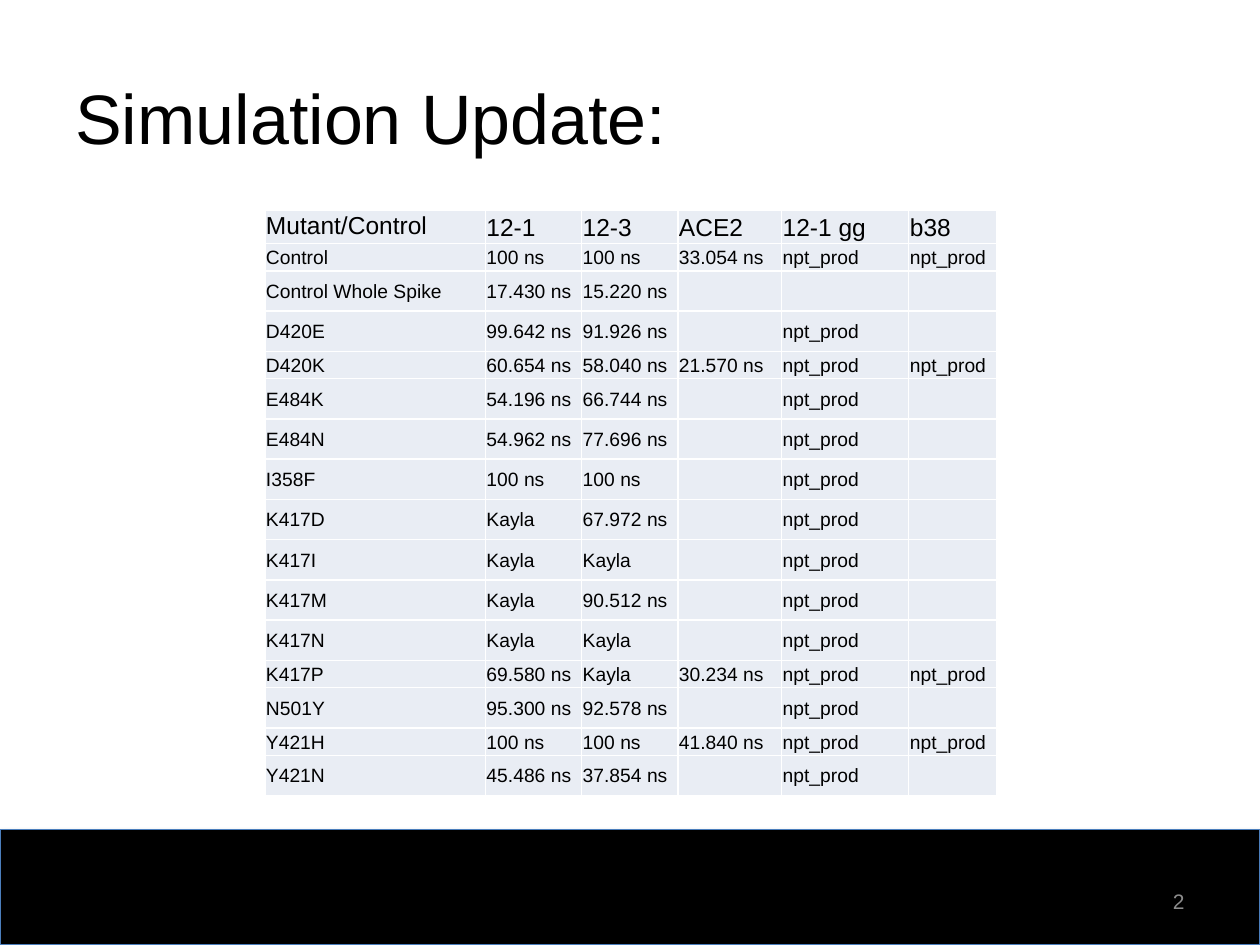
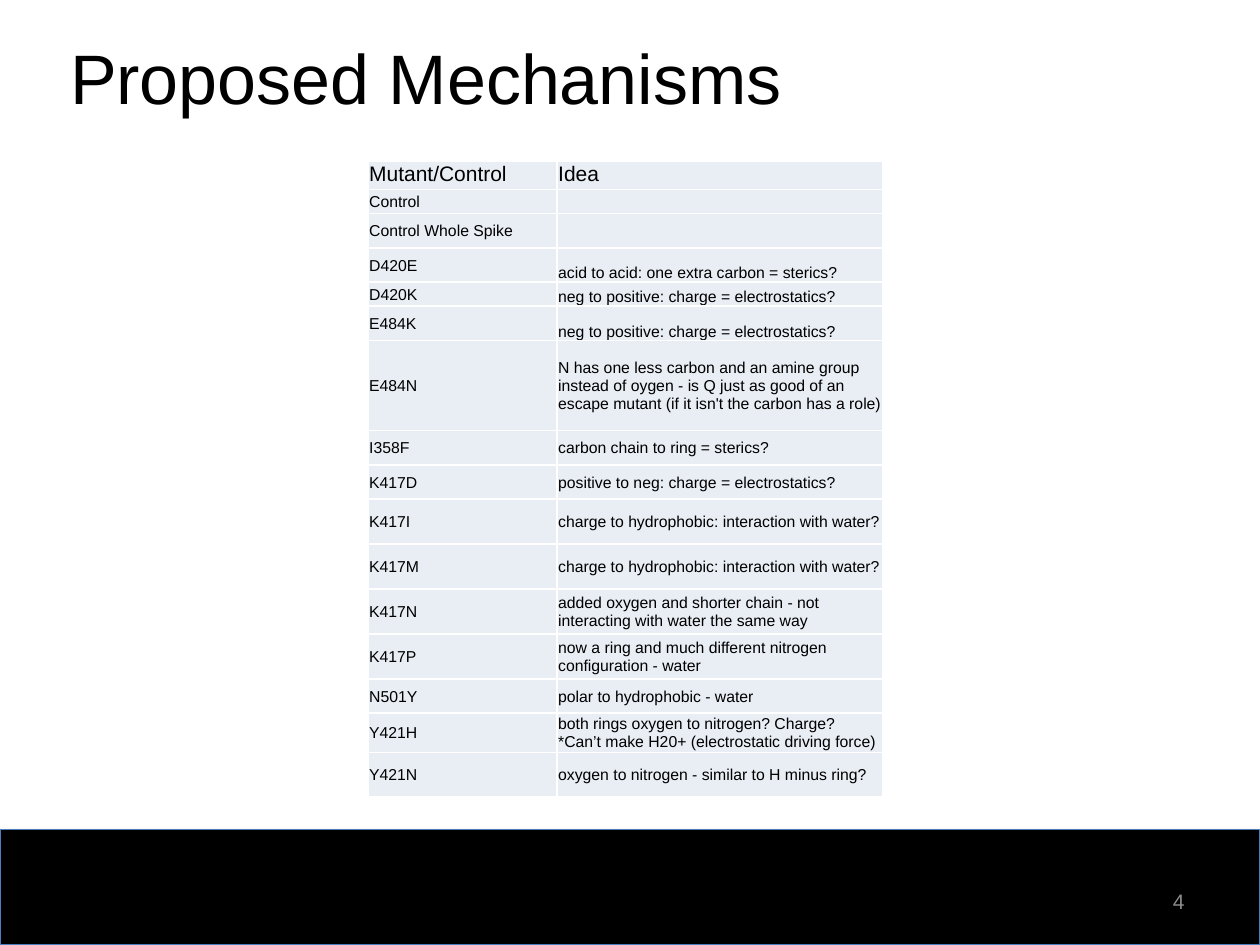
from dataclasses import dataclass

import pptx
import pptx.dml.color
import pptx.enum.shapes
import pptx.enum.text
import pptx.oxml
import pptx.oxml.ns
import pptx.presentation
import pptx.slide
import pptx.table
import pptx.util

Pt = pptx.util.Pt
RGB = pptx.dml.color.RGBColor.from_string
Anchor = pptx.enum.text.MSO_ANCHOR
Align = pptx.enum.text.PP_ALIGN
NS = pptx.oxml.ns.nsdecls("a")


@dataclass(frozen=True)
class Theme:
    font: str = "Arial"
    ink: str = "000000"
    muted: str = "8C8C8C"
    band: str = "000000"
    band_line: str = "4B7EBC"
    cell: str = "E9EDF4"
    border: str = "FFFFFF"
    title_size: float = 40
    number_size: float = 12


@dataclass(frozen=True)
class Box:
    left: float
    top: float
    width: float
    height: float


@dataclass(frozen=True)
class Row:
    cells: tuple[str, ...]
    height: float
    anchor: Anchor = Anchor.MIDDLE


@dataclass(frozen=True)
class Grid:
    left: float
    top: float
    widths: tuple[float, ...]
    rows: list[Row]
    header_size: float
    body_size: float


@dataclass(frozen=True)
class Page:
    title: str
    title_box: Box
    number: str
    grid: Grid


THEME = Theme()
SLIDE = Box(0, 0, 720, 540)
BAND = Box(0, 474, 720, 66)
NUMBER = Box(516, 500.5, 168, 28.75)
CELL_MARGIN = 0.7

MUTANTS = (
    "Control", "Control Whole Spike", "D420E", "D420K", "E484K", "E484N", "I358F", "K417D",
    "K417I", "K417M", "K417N", "K417P", "N501Y", "Y421H", "Y421N",
)
NPT = "npt_prod"

SIMULATION_HEADER = Row(("Mutant/Control", "12-1", "12-3", "ACE2", "12-1 gg", "b38"), 18.7)
SIMULATION_TIMES = (
    ("100 ns", "100 ns", "33.054 ns", NPT, NPT),
    ("17.430 ns", "15.220 ns", "", "", ""),
    ("99.642 ns", "91.926 ns", "", NPT, ""),
    ("60.654 ns", "58.040 ns", "21.570 ns", NPT, NPT),
    ("54.196 ns", "66.744 ns", "", NPT, ""),
    ("54.962 ns", "77.696 ns", "", NPT, ""),
    ("100 ns", "100 ns", "", NPT, ""),
    ("Kayla", "67.972 ns", "", NPT, ""),
    ("Kayla", "Kayla", "", NPT, ""),
    ("Kayla", "90.512 ns", "", NPT, ""),
    ("Kayla", "Kayla", "", NPT, ""),
    ("69.580 ns", "Kayla", "30.234 ns", NPT, NPT),
    ("95.300 ns", "92.578 ns", "", NPT, ""),
    ("100 ns", "100 ns", "41.840 ns", NPT, NPT),
    ("45.486 ns", "37.854 ns", "", NPT, ""),
)
FULL_ROW, PARTIAL_ROW = 15.7, 23

IDEA_HEADER = Row(("Mutant/Control", "Idea"), 16.4, Anchor.TOP)
SHORT, MEDIUM, TALL = 13.7, 19.6, 25.7
IDEAS = (
    ("", SHORT, Anchor.MIDDLE),
    ("", MEDIUM, Anchor.MIDDLE),
    ("acid to acid: one extra carbon = sterics?", MEDIUM, Anchor.BOTTOM),
    ("neg to positive: charge = electrostatics?", SHORT, Anchor.BOTTOM),
    ("neg to positive: charge = electrostatics?", MEDIUM, Anchor.BOTTOM),
    ("N has one less carbon and an amine group instead of oygen - is Q just as good of an "
     "escape mutant (if it isn't the carbon has a role)", 51.5, Anchor.MIDDLE),
    ("carbon chain to ring = sterics?", MEDIUM, Anchor.MIDDLE),
    ("positive to neg: charge = electrostatics?", MEDIUM, Anchor.MIDDLE),
    ("charge to hydrophobic: interaction with water?", TALL, Anchor.MIDDLE),
    ("charge to hydrophobic: interaction with water?", TALL, Anchor.MIDDLE),
    ("added oxygen and shorter chain - not interacting with water the same way",
     TALL, Anchor.MIDDLE),
    ("now a ring and much different nitrogen configuration - water", TALL, Anchor.MIDDLE),
    ("polar to hydrophobic - water", MEDIUM, Anchor.MIDDLE),
    ("both rings oxygen to nitrogen? Charge?\v*Can’t make H20+ (electrostatic driving force)",
     21, Anchor.MIDDLE),
    ("oxygen to nitrogen - similar to H minus ring?", TALL, Anchor.MIDDLE),
)

SIMULATION_ROWS = [SIMULATION_HEADER] + [
    Row((mutant, *times), FULL_ROW if all(times) else PARTIAL_ROW)
    for mutant, times in zip(MUTANTS, SIMULATION_TIMES)
]
IDEA_ROWS = [IDEA_HEADER] + [
    Row((mutant, idea), height, anchor)
    for mutant, (idea, height, anchor) in zip(MUTANTS, IDEAS)
]

PAGES = (
    Page("Simulation Update:", Box(36, 21.6, 648, 90), "2",
         Grid(151.3, 120.4, (126, 55, 55, 59.3, 72.7, 50.2), SIMULATION_ROWS, 14, 11)),
    Page("Proposed Mechanisms", Box(33, 11, 648, 66), "4",
         Grid(210.3, 92, (108, 186.4), IDEA_ROWS, 12, 9)),
)


def place(box: Box) -> tuple[int, ...]:
    return Pt(box.left), Pt(box.top), Pt(box.width), Pt(box.height)


def style(p, size: float, color: str) -> None:
    p.font.name = THEME.font
    p.font.size = Pt(size)
    p.font.color.rgb = RGB(color)


def add_text(slide: pptx.slide.Slide, box: Box, text: str, size: float, color: str,
             align: Align = Align.LEFT) -> None:
    tf = slide.shapes.add_textbox(*place(box)).text_frame
    tf.word_wrap = True
    tf.vertical_anchor = Anchor.MIDDLE
    p = tf.paragraphs[0]
    p.text = text
    p.alignment = align
    style(p, size, color)


def add_band(slide: pptx.slide.Slide) -> None:
    sp = slide.shapes.add_shape(pptx.enum.shapes.MSO_SHAPE.RECTANGLE, *place(BAND))
    sp.fill.solid()
    sp.fill.fore_color.rgb = RGB(THEME.band)
    sp.line.color.rgb = RGB(THEME.band_line)
    sp.line.width = Pt(0.75)
    sp.shadow.inherit = False
    effects = sp.element.spPr.find(pptx.oxml.ns.qn("a:effectLst"))
    effects.append(pptx.oxml.parse_xml(
        f'<a:outerShdw {NS} blurRad="{Pt(3.1)}" dist="{Pt(1.8)}" dir="5400000" rotWithShape="0">'
        f'<a:srgbClr val="{THEME.band}"><a:alpha val="35000"/></a:srgbClr></a:outerShdw>'))


def fill_cell(cell: pptx.table._Cell, text: str, size: float, anchor: Anchor) -> None:
    cell.margin_left = cell.margin_right = cell.margin_top = Pt(CELL_MARGIN)
    cell.margin_bottom = 0
    cell.vertical_anchor = anchor
    properties = cell._tc.get_or_add_tcPr()
    for side in "LRTB":
        properties.append(pptx.oxml.parse_xml(
            f'<a:ln{side} {NS} w="{Pt(1)}"><a:solidFill><a:srgbClr val="{THEME.border}"/>'
            f'</a:solidFill></a:ln{side}>'))
    cell.fill.solid()
    cell.fill.fore_color.rgb = RGB(THEME.cell)
    p = cell.text_frame.paragraphs[0]
    if text:
        p.text = text
    else:
        p._p.append(pptx.oxml.parse_xml(f'<a:endParaRPr {NS} sz="{int(size * 100)}"/>'))
    style(p, size, THEME.ink)


def add_grid(slide: pptx.slide.Slide, grid: Grid) -> None:
    height = sum(row.height for row in grid.rows)
    box = Box(grid.left, grid.top, sum(grid.widths), height)
    table = slide.shapes.add_table(len(grid.rows), len(grid.widths), *place(box)).table
    table.first_row = table.horz_banding = False
    for column, width in zip(table.columns, grid.widths):
        column.width = Pt(width)
    for i, row in enumerate(grid.rows):
        table.rows[i].height = Pt(row.height)
        size = grid.body_size if i else grid.header_size
        label_anchor = Anchor.MIDDLE if i else Anchor.TOP
        for j, text in enumerate(row.cells):
            fill_cell(table.cell(i, j), text, size, row.anchor if j else label_anchor)


def add_page(prs: pptx.presentation.Presentation, page: Page) -> None:
    slide = prs.slides.add_slide(prs.slide_layouts[6])
    add_band(slide)
    add_text(slide, page.title_box, page.title, THEME.title_size, THEME.ink)
    add_text(slide, NUMBER, page.number, THEME.number_size, THEME.muted, Align.RIGHT)
    add_grid(slide, page.grid)


def main() -> None:
    prs = pptx.Presentation()
    prs.slide_width, prs.slide_height = Pt(SLIDE.width), Pt(SLIDE.height)
    for page in PAGES:
        add_page(prs, page)
    prs.save("out.pptx")


if __name__ == "__main__":
    main()
